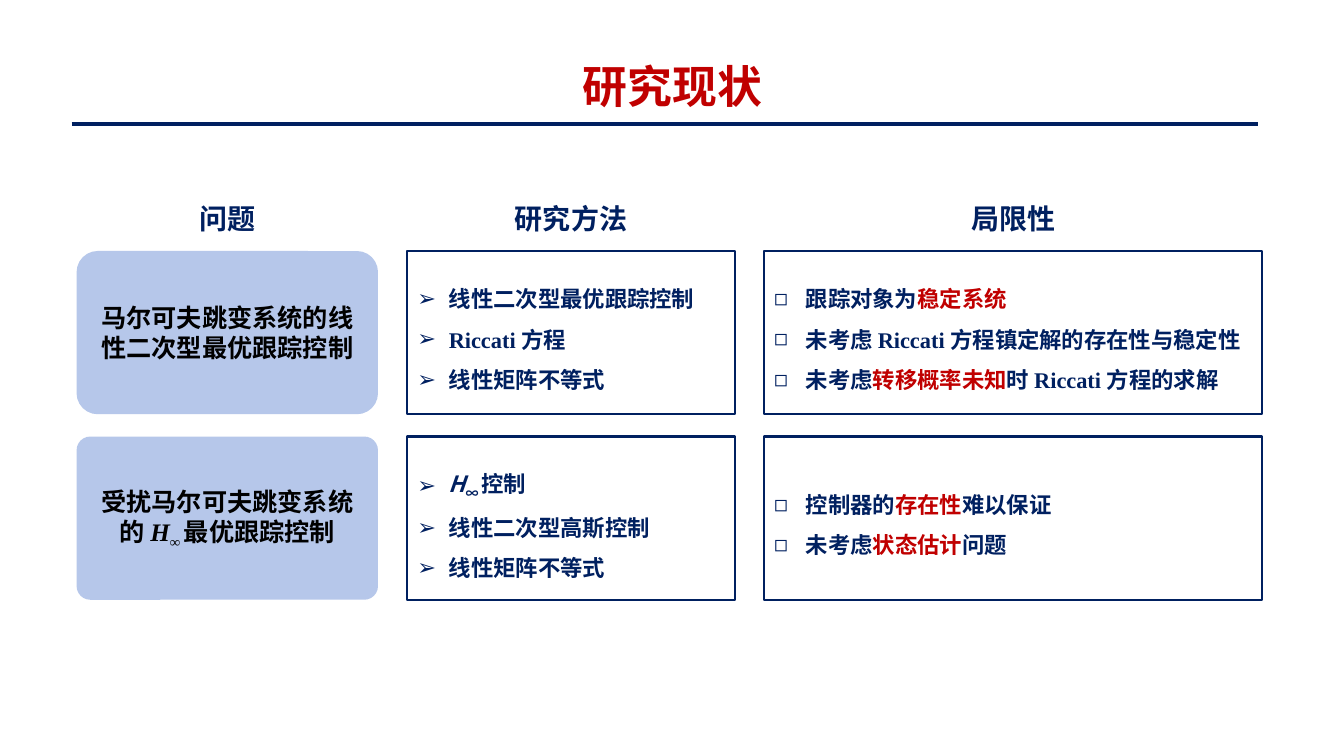
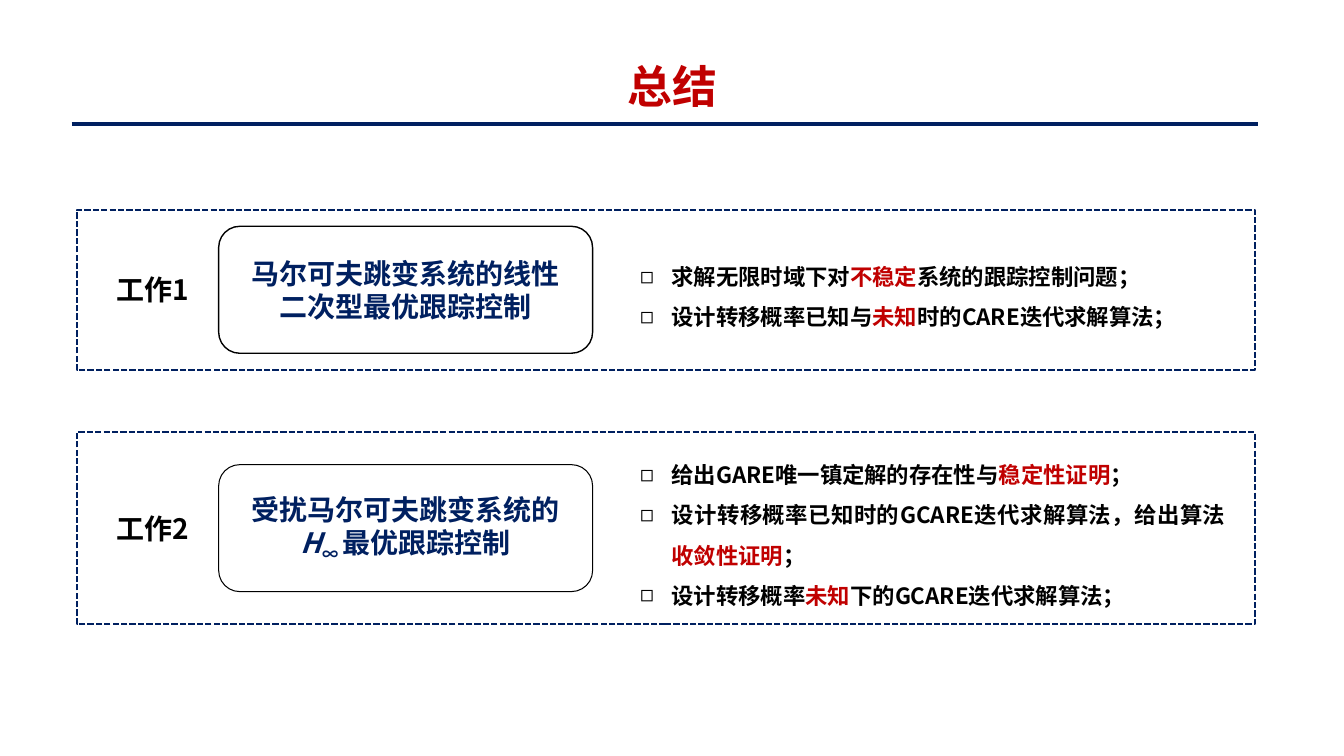
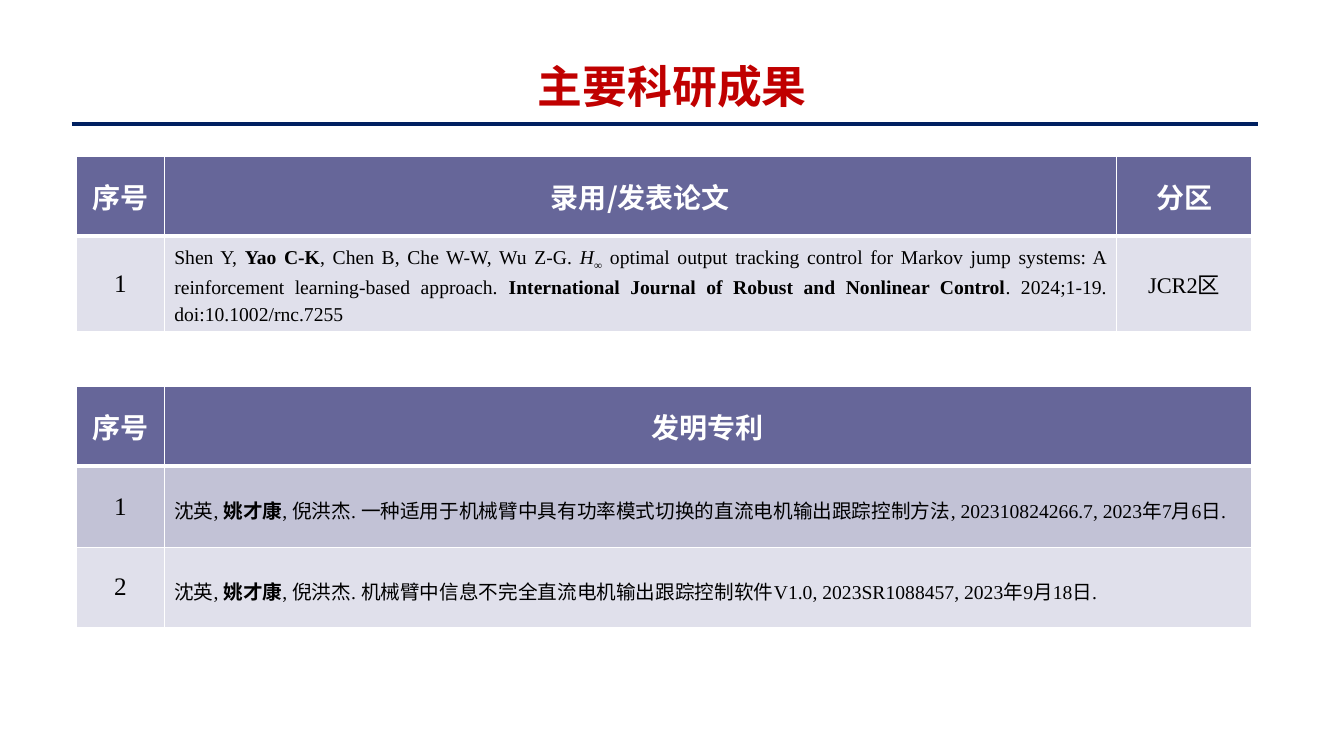
from lxml.etree import SubElement
from pptx import Presentation
from pptx.dml.color import RGBColor
from pptx.enum.dml import MSO_LINE
from pptx.enum.shapes import MSO_CONNECTOR, MSO_SHAPE
from pptx.enum.text import MSO_ANCHOR, MSO_AUTO_SIZE, PP_ALIGN
from pptx.oxml.ns import qn
from pptx.util import Pt

SANS, SERIF = "Noto Sans CJK SC", "Times New Roman"
THEME = {
    "navy": "002060", "red": "C00000", "black": "000000", "white": "FFFFFF",
    "blue": "B6C7EA", "head": "666699", "dark": "C2C2D6", "light": "E0E0EB",
    "title": 32, "label": 20, "topic": 18, "list": 16, "cite": 14,
}
# Marks that a run may carry, beside the look of its paragraph.
MARKS = {
    "red": {"tint": "red"},
    "bold": {"bold": True},
    "serif": {"name": SERIF},
    "it": {"italic": True},
    "sub": {"drop": "-25000"},
}

# Text: a paragraph is a string or a list of strings and (text, marks) pairs.
STATUS = {
    "title": "研究现状",
    "heads": ["问题", "研究方法", "局限性"],
    "topics": [
        ("马尔可夫跳变系统的线性二次型最优跟踪控制", 0.129),
        (["受扰马尔可夫跳变系统的 ", ("H", "serif it"), ("∞ ", "serif sub"),
          "最优跟踪控制"], 0.084),
    ],
    "lists": [
        ("➢", [
            ["线性二次型最优跟踪控制",
             [("Riccati ", "serif"), "方程"],
             "线性矩阵不等式"],
            [[("H", "it"), ("∞ ", "sub"), "控制"],
             "线性二次型高斯控制",
             "线性矩阵不等式"],
        ]),
        ("◻", [
            [["跟踪对象为", ("稳定系统", "red")],
             [("未考虑 Riccati ", "serif"), "方程镇定解的存在性与稳定性"],
             ["未考虑", ("转移概率未知", "red"), "时 ", ("Riccati ", "serif"),
              "方程的求解"]],
            [["控制器的", ("存在性", "red"), "难以保证"],
             ["未考虑", ("状态估计", "red"), "问题"]],
        ]),
    ],
}
SUMMARY = {
    "title": "总结",
    # top, height, outline, label, topic, points
    "works": [
        (149.8, 114.5, 1, "工作1", "马尔可夫跳变系统的线性二次型最优跟踪控制", [
            ["求解无限时域下对", ("不稳定", "red"), "系统的跟踪控制问题；"],
            ["设计转移概率已知与", ("未知", "red"), "时的CARE迭代求解算法；"],
        ]),
        (308.9, 136.8, 0.75, "工作2",
         ["受扰马尔可夫跳变系统的", ("H", "it"), ("∞ ", "sub"), "最优跟踪控制"], [
            ["给出GARE唯一镇定解的存在性与", ("稳定性证明", "red"), "；"],
            ["设计转移概率已知时的GCARE迭代求解算法，给出算法",
             ("收敛性证明", "red"), "；"],
            ["设计转移概率", ("未知", "red"), "下的GCARE迭代求解算法；"],
        ]),
    ],
}
RESULTS = {
    "title": "主要科研成果",
    # top, column widths, row heights, rows
    "tables": [
        (111.6, (62.6, 680.4, 96.2), (57, 68), [
            ["序号", "录用/发表论文", "分区"],
            ["1", ["Shen Y, ", ("Yao C-K", "bold"), ", Chen B, Che W-W, Wu Z-G. ",
                   ("H", "it"), ("∞", "sub"),
                   " optimal output tracking control for Markov jump systems: "
                   "A reinforcement learning-based approach. ",
                   ("International Journal of Robust and Nonlinear Control", "bold"),
                   ". 2024;1-19. doi:10.1002/rnc.7255 "], "JCR2区"],
        ]),
        (275.8, (62.6, 776.6), (57, 57, 57), [
            ["序号", "发明专利"],
            ["1", ["沈英, ", ("姚才康", "bold"),
                   ", 倪洪杰. 一种适用于机械臂中具有功率模式切换的直流电机"
                   "输出跟踪控制方法, 202310824266.7, 2023年7月6日."]],
            ["2", ["沈英, ", ("姚才康", "bold"),
                   ", 倪洪杰. 机械臂中信息不完全直流电机输出跟踪控制软件V1.0, "
                   "2023SR1088457, 2023年9月18日."]],
        ]),
    ],
}

LEFT = 54.7


def rgb(name):
    return RGBColor.from_string(THEME[name])


def look(size, tint, name=SANS, bold=True):
    return {"size": Pt(THEME[size]), "tint": tint, "name": name, "bold": bold}


def write(frame, paras, base, bullet=None, **form):
    """Fill a text frame; form holds paragraph attributes."""
    form = {"alignment": PP_ALIGN.CENTER, "space_before": Pt(0)} | form
    for i, runs in enumerate(paras):
        par = frame.add_paragraph() if i else frame.paragraphs[0]
        for key, value in form.items():
            setattr(par, key, value)
        if bullet:
            props = par._p.get_or_add_pPr()
            props.set("marL", str(Pt(22.5)))
            props.set("indent", str(-Pt(22.5)))
            SubElement(props, qn("a:buChar")).set("char", bullet)
        for bit in [runs] if isinstance(runs, str) else runs:
            text, marks = (bit, "") if isinstance(bit, str) else bit
            style = dict(base)
            for mark in marks.split():
                style |= MARKS[mark]
            run = par.add_run()
            run.text = text
            run.font.color.rgb = rgb(style.pop("tint"))
            drop = style.pop("drop", None)
            for key, value in style.items():
                setattr(run.font, key, value)
            props = run._r.get_or_add_rPr()
            SubElement(props, qn("a:ea")).set("typeface", SANS)
            if drop:
                props.set("baseline", drop)


def place(shape, box):
    for key, value in zip(("left", "top", "width", "height"), box):
        setattr(shape, key, Pt(value))


def setup(frame, anchor=MSO_ANCHOR.MIDDLE):
    form = {"word_wrap": True, "auto_size": MSO_AUTO_SIZE.NONE,
            "vertical_anchor": anchor}
    for key, value in form.items():
        setattr(frame, key, value)
    return frame


def edge(shape, tint, width):
    shape.line.color.rgb = rgb(tint)
    shape.line.width = Pt(width)


def panel(slide, kind, box, fill=None):
    shape = slide.shapes.add_shape(kind, *map(Pt, box))
    shape.shadow.inherit = False
    if fill:
        shape.fill.solid()
        shape.fill.fore_color.rgb = rgb(fill)
    else:
        shape.fill.background()
    shape.line.fill.background()
    return shape


def label(slide, box, text, tint, **form):
    frame = setup(slide.shapes.add_textbox(*map(Pt, box)).text_frame, MSO_ANCHOR.TOP)
    write(frame, [text], look("label", tint), **form)


def points(holder, box, paras, bullet, tint, align):
    place(holder, box)
    write(setup(holder.text_frame), paras, look("list", tint), bullet,
          alignment=align, line_spacing=1.5)


def start(deck, layout, title):
    """Add a slide with its title; return it and its body placeholders."""
    slide = deck.slides.add_slide(deck.slide_layouts.get_by_name(layout))
    frame = setup(slide.shapes.title.text_frame, MSO_ANCHOR.BOTTOM)
    write(frame, [title], look("title", "red"), line_spacing=Pt(30))
    return slide, list(slide.placeholders)[1:]


def master(deck, slide):
    """Set the title place and the rule that all slides share."""
    base = deck.slide_master
    place(base.placeholders[0], (157, 33.1, 646.6, 51.1))
    rule = slide.shapes.add_connector(
        MSO_CONNECTOR.STRAIGHT, Pt(51.1), Pt(88.6), Pt(898.6), Pt(88.6))
    edge(rule, "navy", 3)
    SubElement(rule.element.spPr, qn("a:effectLst"))
    base.shapes.element.append(rule.element)


def status(deck):
    slide, bodies = start(deck, "Comparison", STATUS["title"])
    master(deck, slide)
    widths, gap, tops, high = (215.3, 234, 355.7), 20.9, (179.3, 311.8), 116.6
    lefts = [LEFT + sum(widths[:i]) + gap * i for i in range(3)]
    for x, w, head in zip(lefts, widths, STATUS["heads"]):
        label(slide, (x, 140.4, w, 31.7), head, "navy")
    for y, (text, curve) in zip(tops, STATUS["topics"]):
        card = panel(slide, MSO_SHAPE.ROUNDED_RECTANGLE,
                     (lefts[0], y, widths[0], high), "blue")
        card.adjustments[0] = curve
        write(setup(card.text_frame), [text], look("topic", "black"))
    holders = iter(bodies)
    for x, w, (bullet, cells) in zip(lefts[1:], widths[1:], STATUS["lists"]):
        for y, paras in zip(tops, cells):
            cell = next(holders)
            points(cell, (x, y, w, high), paras, bullet, "navy", PP_ALIGN.LEFT)
            edge(cell, "navy", 1.5)


def summary(deck):
    slide, bodies = start(deck, "Two Content", SUMMARY["title"])
    for body, work in zip(bodies, SUMMARY["works"]):
        top, high, line, name, topic, paras = work
        mid = top + high / 2
        frame = panel(slide, MSO_SHAPE.RECTANGLE, (LEFT, top, 841.7, high))
        edge(frame, "navy", 1.5)
        frame.line.dash_style = MSO_LINE.SQUARE_DOT
        label(slide, (74, mid - 15.8, 69.8, 31.7), name, "black", space_before=Pt(3))
        card = panel(slide, MSO_SHAPE.ROUNDED_RECTANGLE,
                     (156.2, mid - 45.4, 267.1, 90.7), "white")
        edge(card, "black", line)
        text = setup(card.text_frame)
        # The rounded corners already inset the text by about 4 pt.
        text.margin_left = text.margin_right = Pt(17)
        write(text, [topic], look("label", "navy"))
        points(body, (450, top, 432.7, high), paras, "◻", "black", PP_ALIGN.JUSTIFY)


def border(cell, **widths):
    props = cell._tc.get_or_add_tcPr()
    for side in "LRTB":
        line = SubElement(props, qn("a:ln" + side), w=str(Pt(widths.get(side, 1))))
        fill = SubElement(line, qn("a:solidFill"))
        SubElement(fill, qn("a:srgbClr"), val=THEME["white"])


def results(deck):
    slide, _ = start(deck, "Title Only", RESULTS["title"])
    for top, widths, heights, rows in RESULTS["tables"]:
        table = slide.shapes.add_table(
            len(rows), len(widths), Pt(LEFT), Pt(top),
            Pt(sum(widths)), Pt(sum(heights))).table
        for col, w in zip(table.columns, widths):
            col.width = Pt(w)
        for r, row in enumerate(rows):
            table.rows[r].height = Pt(heights[r])
            band = "light" if (len(rows) - r) % 2 else "dark"
            for c, text in enumerate(row):
                cell = table.cell(r, c)
                border(cell, **({"B": 3} if r == 0 else {"T": 3} if r == 1 else {}))
                cell.fill.solid()
                cell.fill.fore_color.rgb = rgb(band if r else "head")
                cell.vertical_anchor = MSO_ANCHOR.MIDDLE
                if r:
                    style = look(("topic", "cite", "list")[c], "black", SERIF, False)
                else:
                    style = look("label", "white")
                form = {"alignment": PP_ALIGN.JUSTIFY, "line_spacing": 1.25}
                write(cell.text_frame, [text], style, **(form if r and c == 1 else {}))


def main():
    deck = Presentation()
    deck.slide_width, deck.slide_height = Pt(960), Pt(540)
    for build in (status, summary, results):
        build(deck)
    deck.save("out.pptx")


if __name__ == "__main__":
    main()
